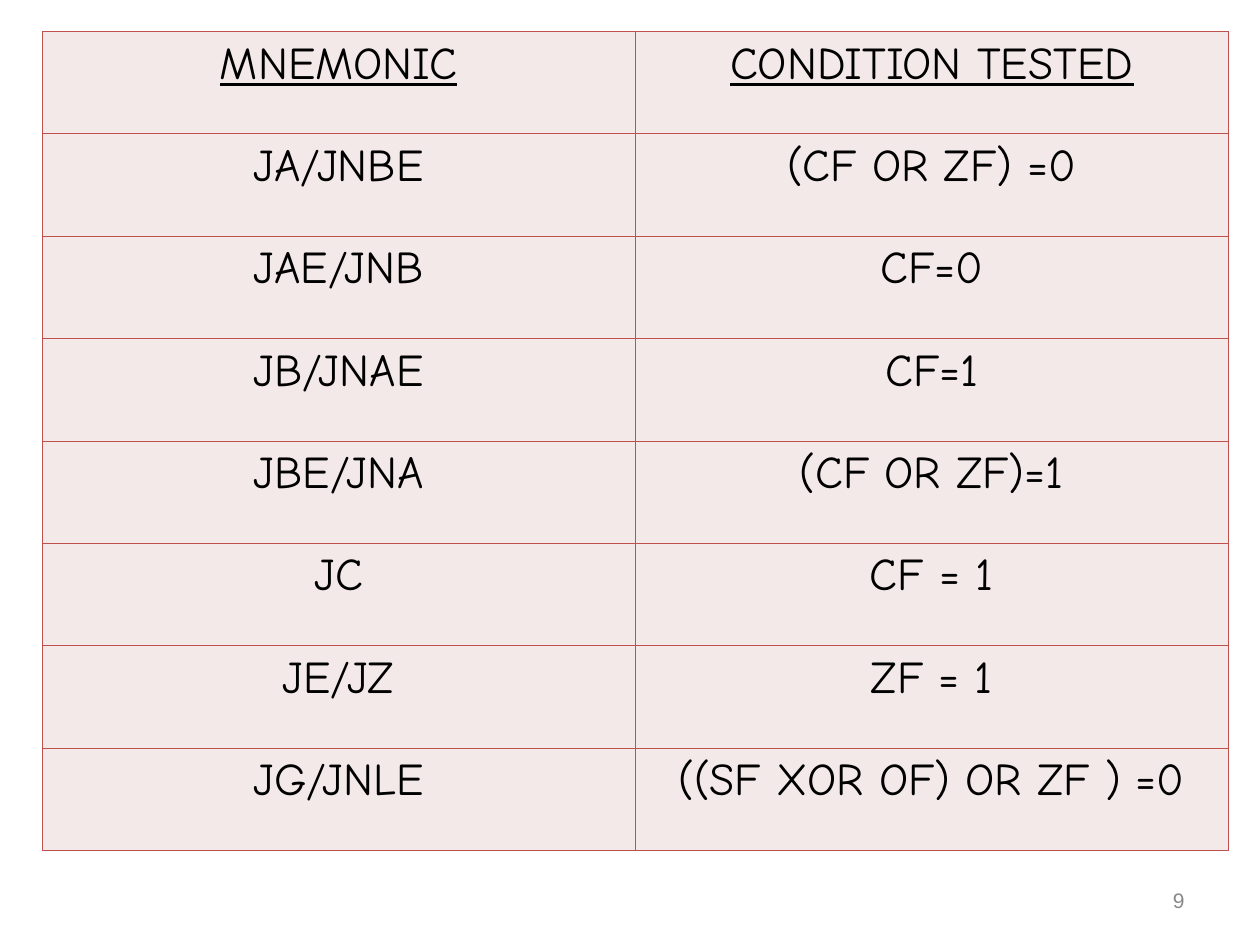
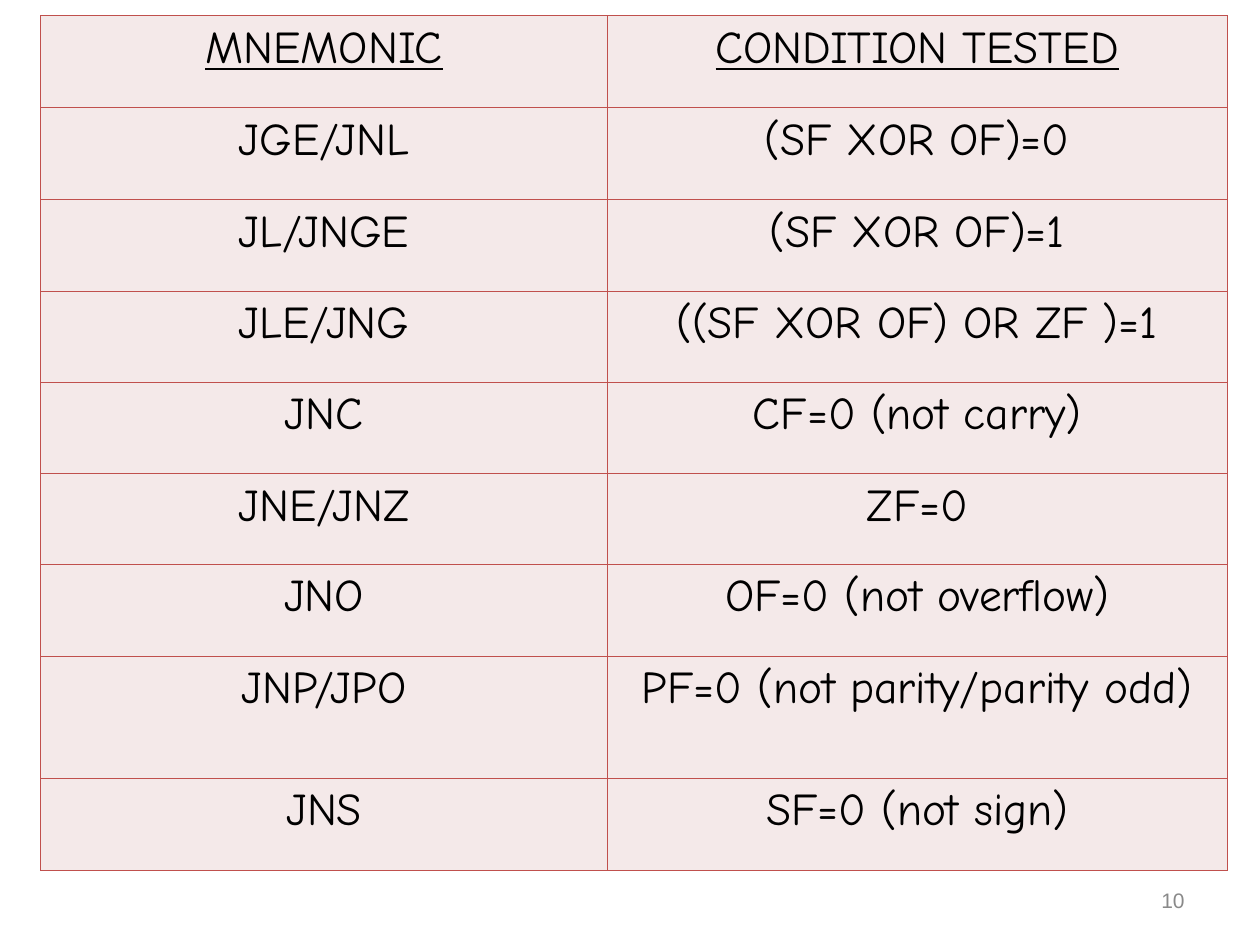
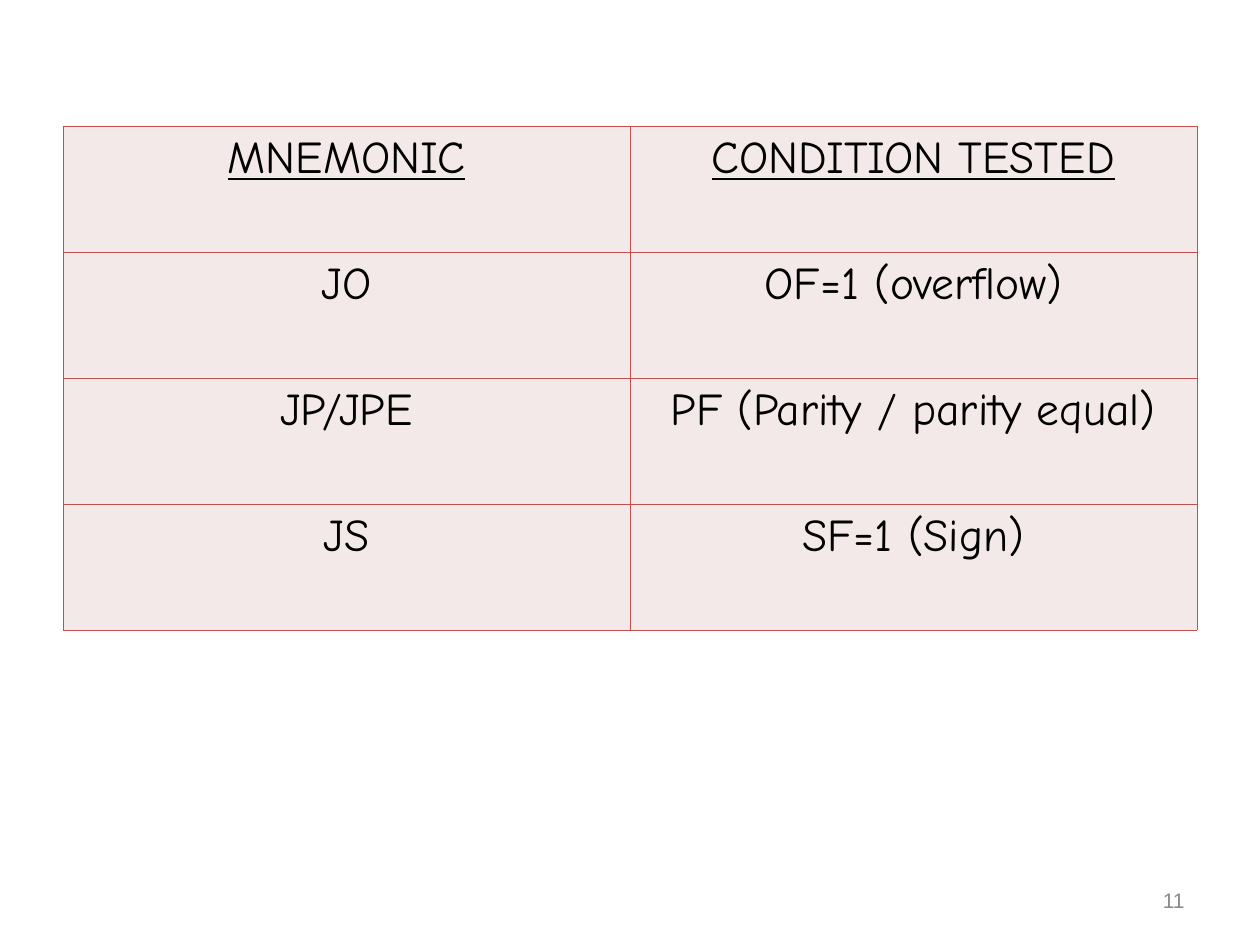
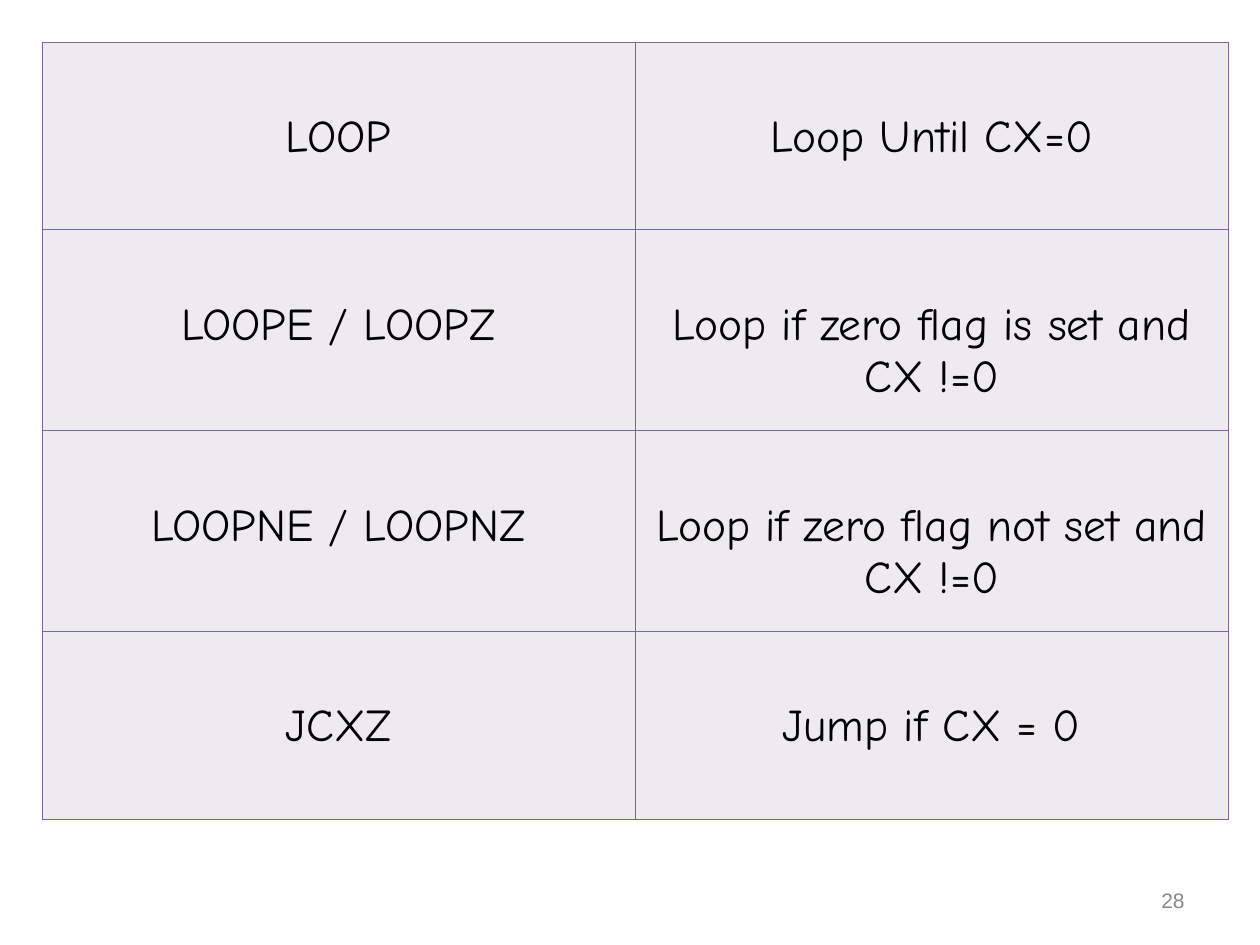
from dataclasses import dataclass

from lxml.etree import SubElement
from pptx import Presentation
from pptx.dml.color import RGBColor
from pptx.enum.text import MSO_ANCHOR, PP_ALIGN
from pptx.oxml.ns import qn
from pptx.util import Pt


@dataclass(frozen=True)
class Theme:
    table_font: str = "Comic Neue"
    table_size: int = 26
    number_font: str = "Arial"
    number_size: int = 12
    ink: str = "000000"
    grey: str = "898989"
    red: tuple = ("C0504D", "F4E9E9")  # border, fill
    purple: tuple = ("8064A2", "EDEAF0")
    border_width: float = 0.45


THEME = Theme()
PX = 9525  # 96 px to the inch
TOP_INSET = 5
LOWERED_INSET = 53  # starts the text one line lower in the cell
HEADER = ("MNEMONIC", "CONDITION TESTED")

# page number, left, top, column widths, row heights, colours, top inset, rows
TABLES = [
    (9, 32, 24, (452, 452), [78] * 8, THEME.red, TOP_INSET, [
        HEADER,
        ("JA/JNBE", "(CF OR ZF) =0"),
        ("JAE/JNB", "CF=0"),
        ("JB/JNAE", "CF=1"),
        ("JBE/JNA", "(CF OR ZF)=1"),
        ("JC", "CF = 1"),
        ("JE/JZ", "ZF = 1"),
        ("JG/JNLE", "((SF XOR OF) OR ZF ) =0"),
    ]),
    (10, 31, 12, (432, 472), [70, 70, 70, 69, 70, 69, 70, 93, 70], THEME.red, TOP_INSET, [
        HEADER,
        ("JGE/JNL", "(SF XOR OF)=0"),
        ("JL/JNGE", "(SF XOR OF)=1"),
        ("JLE/JNG", "((SF XOR OF) OR ZF )=1"),
        ("JNC", "CF=0 (not carry)"),
        ("JNE/JNZ", "ZF=0"),
        ("JNO", "OF=0 (not overflow)"),
        ("JNP/JPO", "PF=0 (not parity/parity odd)"),
        ("JNS", "SF=0 (not sign)"),
    ]),
    (11, 48, 96, (432, 432), [96] * 4, THEME.red, TOP_INSET, [
        HEADER,
        ("JO", "OF=1 (overflow)"),
        ("JP/JPE", "PF (Parity / parity equal)"),
        ("JS", "SF=1 (Sign)"),
    ]),
    (28, 32, 32, (452, 452), [143, 153, 153, 143], THEME.purple, LOWERED_INSET, [
        ("LOOP", "Loop Until CX=0"),
        ("LOOPE / LOOPZ", "Loop if zero flag is set and CX !=0"),
        ("LOOPNE / LOOPNZ", "Loop if zero flag not set and CX !=0"),
        ("JCXZ", "Jump if CX = 0"),
    ]),
]


def add_span(frame, text, align, font, size, color):
    para = frame.paragraphs[0]
    para.alignment = align
    span = para.add_run()
    span.text = text
    span.font.name = font
    span.font.size = Pt(size)
    span.font.color.rgb = RGBColor.from_string(color)
    return span


def style_cell(cell, border, fill):
    """Outline all four sides of the cell, then fill it."""
    properties = cell._tc.get_or_add_tcPr()
    for side in ("a:lnL", "a:lnR", "a:lnT", "a:lnB"):
        line = SubElement(properties, qn(side), w=str(Pt(THEME.border_width)))
        solid = SubElement(line, qn("a:solidFill"))
        SubElement(solid, qn("a:srgbClr"), val=border)
    cell.fill.solid()
    cell.fill.fore_color.rgb = RGBColor.from_string(fill)


deck = Presentation()
deck.slide_width, deck.slide_height = 960 * PX, 720 * PX
blank = deck.slide_layouts[6]

for number, left, top, widths, heights, colors, inset, rows in TABLES:
    page = deck.slides.add_slide(blank)
    table = page.shapes.add_table(
        len(rows), len(widths), left * PX, top * PX, sum(widths) * PX, sum(heights) * PX
    ).table
    table.first_row = table.horz_banding = False
    for column, width in zip(table.columns, widths):
        column.width = width * PX
    for row, height, texts in zip(table.rows, heights, rows):
        row.height = height * PX
        for cell, text in zip(row.cells, texts):
            style_cell(cell, *colors)
            cell.margin_top = inset * PX
            span = add_span(cell.text_frame, text, PP_ALIGN.CENTER,
                            THEME.table_font, THEME.table_size, THEME.ink)
            if texts is HEADER:
                span.font.underline = True

    box = page.shapes.add_textbox(688 * PX, 667 * PX, 224 * PX, 38 * PX)
    box.text_frame.word_wrap = True
    box.text_frame.vertical_anchor = MSO_ANCHOR.MIDDLE
    add_span(box.text_frame, str(number), PP_ALIGN.RIGHT,
             THEME.number_font, THEME.number_size, THEME.grey)

deck.save("out.pptx")
